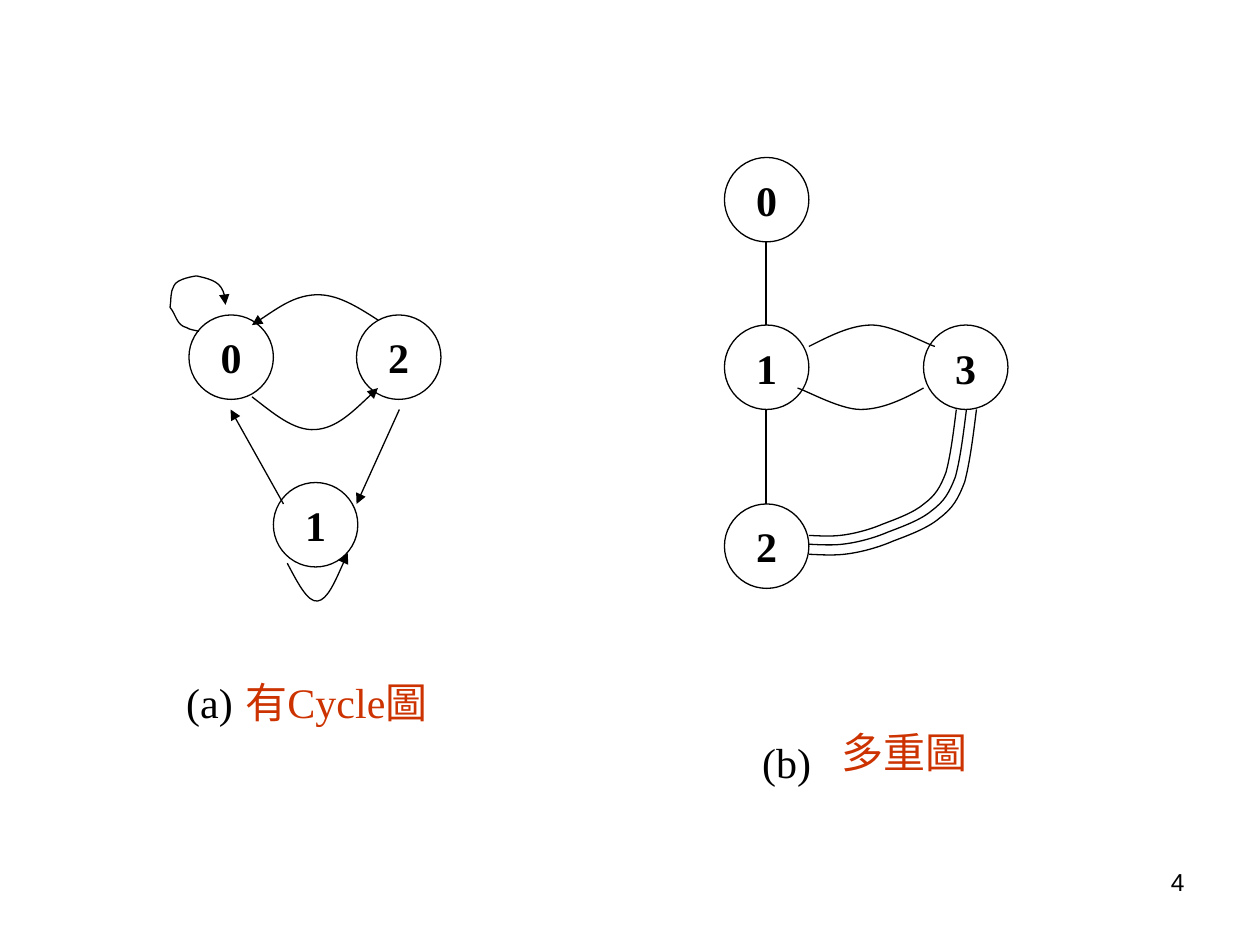
from lxml.etree import SubElement
from pptx import Presentation
from pptx.dml.color import RGBColor
from pptx.enum.shapes import MSO_CONNECTOR, MSO_SHAPE
from pptx.enum.text import MSO_ANCHOR, MSO_AUTO_SIZE, PP_ALIGN
from pptx.oxml.ns import qn
from pptx.util import Inches, Pt

BLACK = RGBColor(0, 0, 0)
RED = RGBColor(0xCC, 0x33, 0x00)
NODE_SIZE = 0.67


def write(s, text, size=24, font="Times New Roman", color=BLACK, bold=False,
          align=PP_ALIGN.LEFT, anchor=MSO_ANCHOR.TOP, wrap=False, grow=False):
    tf = s.text_frame
    tf.word_wrap = wrap
    tf.auto_size = MSO_AUTO_SIZE.SHAPE_TO_FIT_TEXT if grow else MSO_AUTO_SIZE.NONE
    tf.vertical_anchor = anchor
    p = tf.paragraphs[0]
    p.alignment = align
    r = p.add_run()
    r.text = text
    r.font.size = Pt(size)
    r.font.name = font
    r.font.bold = bold
    r.font.color.rgb = color


def add_label(sp, text, x, y, w, h, **fmt):
    write(sp.add_textbox(Inches(x), Inches(y), Inches(w), Inches(h)), text, **fmt)


def style_line(s, arrow=False):
    s.line.color.rgb = BLACK
    s.line.width = Pt(0.75)
    if arrow:
        SubElement(s.line._get_or_add_ln(), qn("a:tailEnd"), type="triangle")


def add_node(sp, text, x, y):
    s = sp.add_shape(MSO_SHAPE.OVAL, Inches(x), Inches(y),
                     Inches(NODE_SIZE), Inches(NODE_SIZE))
    s.shadow.inherit = False
    s.fill.background()
    style_line(s)
    write(s, text, bold=True, align=PP_ALIGN.CENTER, anchor=MSO_ANCHOR.MIDDLE)


def add_edge(sp, x1, y1, x2, y2, arrow=False):
    s = sp.add_connector(MSO_CONNECTOR.STRAIGHT, Inches(x1), Inches(y1),
                         Inches(x2), Inches(y2))
    style_line(s, arrow)
    SubElement(s.element.spPr, qn("a:effectLst"))


def add_curve(sp, points, arrow=False):
    """Draw Bezier segments: a start point, then three points per segment."""
    pts = [(Inches(x), Inches(y)) for x, y in points]
    builder = sp.build_freeform(*pts[0], scale=1.0)
    builder.add_line_segments(pts[1:], close=False)
    s = builder.convert_to_shape()
    # Turn each three line segments into one cubic curve
    lines = s.element.xpath(".//a:lnTo")
    for i in range(0, len(lines), 3):
        cubic = SubElement(lines[i].getparent(), qn("a:cubicBezTo"))
        for line in lines[i:i + 3]:
            cubic.append(line[0])
            line.getparent().remove(line)
    s.shadow.inherit = False
    s.fill.background()
    style_line(s, arrow)


def add_cycle_graph(sp):
    for text, x, y in (("0", 1.5, 2.5), ("2", 2.83, 2.5), ("1", 2.17, 3.83)):
        add_node(sp, text, x, y)
    add_edge(sp, 2.25, 4, 1.83, 3.25, arrow=True)
    add_edge(sp, 3.17, 3.25, 2.83, 4, arrow=True)
    curves = (
        # Loop at node 0
        [(1.58, 2.63), (1.55, 2.62), (1.51, 2.62), (1.48, 2.6),
         (1.4, 2.58), (1.4, 2.5), (1.35, 2.44),
         (1.36, 2.38), (1.35, 2.32), (1.38, 2.27),
         (1.4, 2.21), (1.56, 2.19), (1.56, 2.19),
         (1.7, 2.22), (1.79, 2.26), (1.79, 2.42)],
        # Between nodes 0 and 2
        [(3, 2.54), (2.83, 2.43), (2.67, 2.33), (2.5, 2.34),
         (2.33, 2.35), (2.17, 2.47), (2, 2.58)],
        [(2, 3.15), (2.17, 3.28), (2.33, 3.42), (2.5, 3.41),
         (2.67, 3.4), (2.83, 3.24), (3, 3.08)],
        # Loop at node 1
        [(2.28, 4.47), (2.36, 4.62), (2.44, 4.78), (2.52, 4.77),
         (2.6, 4.76), (2.68, 4.57), (2.76, 4.39)],
    )
    for points in curves:
        add_curve(sp, points, arrow=True)


def add_multigraph(sp):
    for text, x, y in (("2", 5.75, 4), ("1", 5.75, 2.58),
                       ("0", 5.75, 1.25), ("3", 7.33, 2.58)):
        add_node(sp, text, x, y)
    add_edge(sp, 6.08, 1.92, 6.08, 2.58)
    add_edge(sp, 6.08, 3.25, 6.08, 4)
    # Double edge between nodes 1 and 3
    add_curve(sp, [(6.42, 2.75), (6.58, 2.67), (6.75, 2.58), (6.92, 2.58),
                   (7.08, 2.58), (7.33, 2.72), (7.42, 2.75)])
    add_curve(sp, [(7.33, 3.08), (7.17, 3.17), (7, 3.25), (6.83, 3.25),
                   (6.67, 3.25), (6.42, 3.11), (6.33, 3.08)])
    # Triple edge between nodes 3 and 2: one bend, stretched from its corner
    left, top = 6.42, 3.25
    bend = [(1, 0), (0.98, 0.19), (0.96, 0.37), (0.93, 0.5),
            (0.89, 0.62), (0.86, 0.68), (0.78, 0.75),
            (0.71, 0.82), (0.59, 0.87), (0.5, 0.91),
            (0.4, 0.96), (0.29, 0.99), (0.21, 1),
            (0.13, 1.01), (0.03, 1), (0, 1)]
    for w, h in ((1.17, 1), (1.25, 1.07), (1.33, 1.15)):
        add_curve(sp, [(left + w * x, top + h * y) for x, y in bend])


def main():
    prs = Presentation()
    prs.slide_width, prs.slide_height = Inches(10), Inches(7.5)
    sp = prs.slides.add_slide(prs.slide_layouts[6]).shapes

    add_cycle_graph(sp)
    add_multigraph(sp)

    # Captions
    add_label(sp, "(a)", 1.38, 5.32, 0.57, 0.5, grow=True)
    add_label(sp, "有Cycle圖", 1.85, 5.32, 1.8, 0.5, color=RED,
              anchor=MSO_ANCHOR.MIDDLE, grow=True)
    add_label(sp, "(b)", 5.95, 5.8, 0.59, 0.5, wrap=True, grow=True)
    add_label(sp, "多重圖", 6.58, 5.72, 1.2, 0.5, color=RED,
              anchor=MSO_ANCHOR.MIDDLE, grow=True)

    # Slide number
    add_label(sp, "4", 7.17, 6.83, 2.33, 0.52, size=14, font="Arial",
              align=PP_ALIGN.RIGHT, wrap=True)
    prs.save("out.pptx")


if __name__ == "__main__":
    main()
